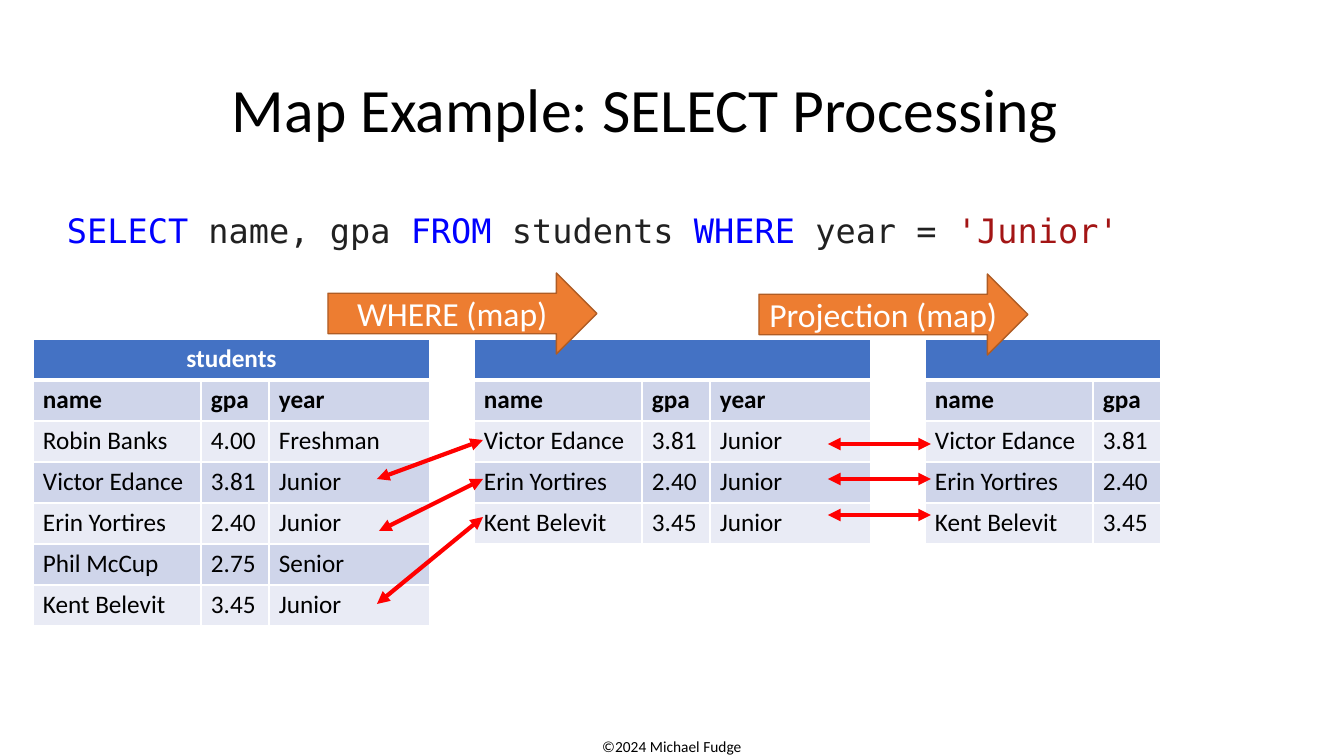
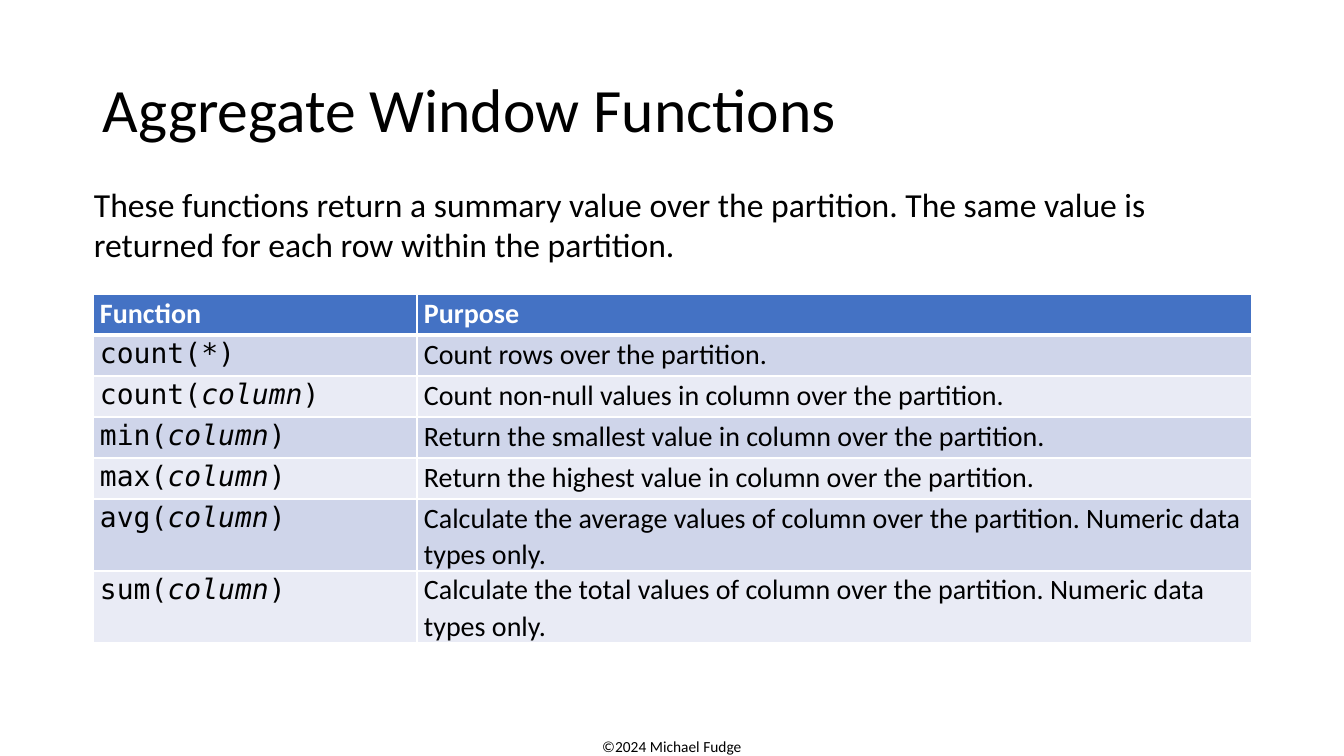
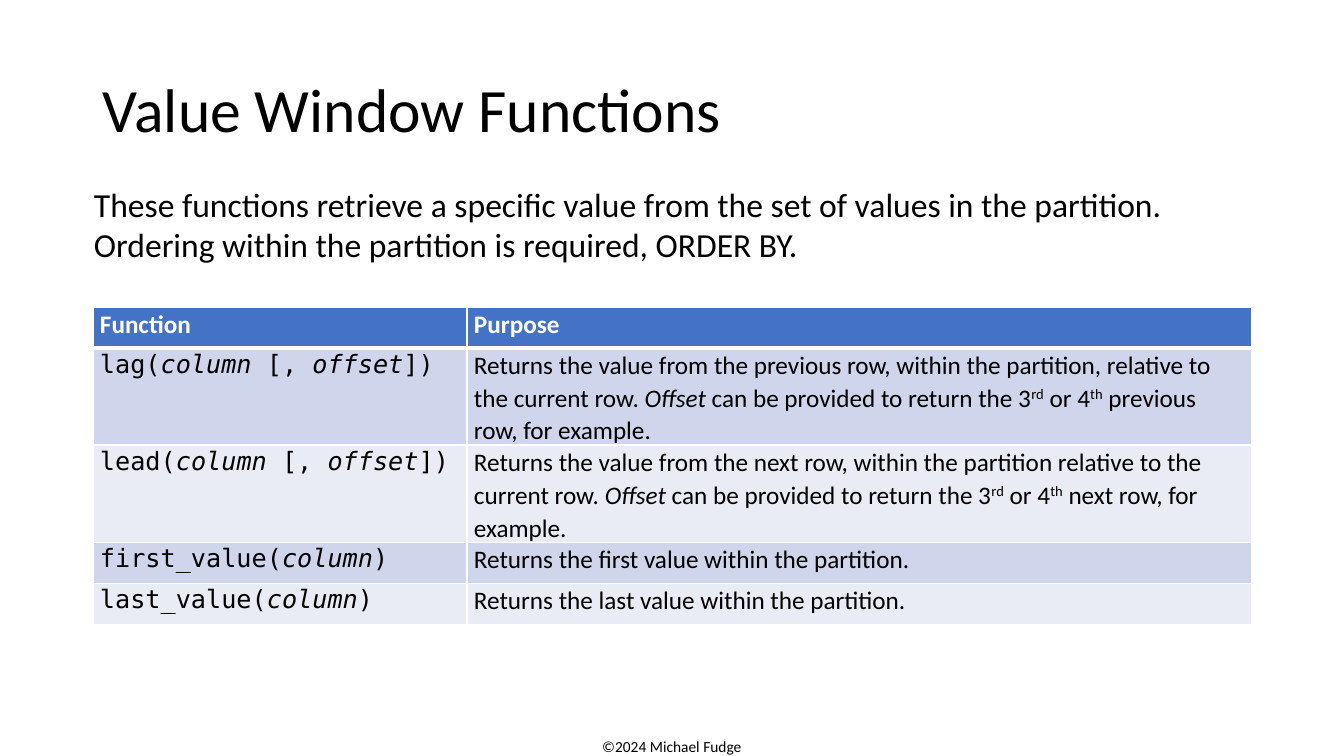
from dataclasses import dataclass
from typing import Optional, Sequence

from lxml import etree
from pptx import Presentation
from pptx.dml.color import RGBColor
from pptx.enum.shapes import MSO_CONNECTOR, MSO_SHAPE
from pptx.enum.text import MSO_ANCHOR, PP_ALIGN
from pptx.oxml.ns import qn
from pptx.util import Pt

RIGHT_ARROW = MSO_SHAPE.RIGHT_ARROW
STRAIGHT = MSO_CONNECTOR.STRAIGHT
TOP, MIDDLE = MSO_ANCHOR.TOP, MSO_ANCHOR.MIDDLE
LEFT, CENTER = PP_ALIGN.LEFT, PP_ALIGN.CENTER

PAGE_WIDTH, PAGE_HEIGHT = 1344, 756
EMU_PER_PX = 12192000 / PAGE_WIDTH
ROW_HEIGHT = 41


@dataclass(frozen=True)
class Theme:
    sans: str = "Calibri"
    mono: str = "DejaVu Sans Mono"
    black: str = "000000"
    white: str = "FFFFFF"
    header: str = "4472C4"
    band_dark: str = "CFD5EA"
    band_light: str = "E9EBF5"
    step: str = "ED7D31"
    step_line: str = "AF5C24"
    link: str = "FF0000"
    keyword: str = "0000FF"
    code: str = "212121"
    literal: str = "A31515"
    title_size: int = 44
    body_size: int = 24
    large_cell_size: int = 20
    cell_size: int = 18
    footer_size: int = 11


THEME = Theme()


@dataclass(frozen=True)
class Span:
    text: str
    color: str = THEME.black
    font: str = THEME.sans
    bold: bool = False
    italic: bool = False
    raised: bool = False


@dataclass(frozen=True)
class Box:
    left: int
    top: int
    width: int
    height: int


@dataclass(frozen=True)
class TableStyle:
    size: int = THEME.cell_size
    bold_rows: int = 1
    banner: bool = False
    margin_x: int = 7
    margin_y: int = 0
    line_spacing: Optional[float] = 1.07


@dataclass(frozen=True)
class Link:
    start_x: int
    start_y: int
    end_x: int
    end_y: int


Cell = Sequence[Span]


def px(length: int) -> int:
    return round(length * EMU_PER_PX)


def rgb(color: str) -> RGBColor:
    return RGBColor.from_string(color)


def place(box: Box) -> tuple[int, int, int, int]:
    return px(box.left), px(box.top), px(box.width), px(box.height)


# Text

def write(frame, spans: Cell, size: int, align=LEFT, spacing: Optional[float] = None) -> None:
    para = frame.paragraphs[0]
    para.alignment = align
    if spacing:
        para.line_spacing = spacing
    for span in spans:
        run = para.add_run()
        run.text = span.text
        font = run.font
        font.name, font.size = span.font, Pt(size)
        font.bold, font.italic = span.bold, span.italic
        font.color.rgb = rgb(span.color)
        if span.raised:
            run._r.get_or_add_rPr().set("baseline", "30000")


def add_text(page, box: Box, spans: Cell, size: int, align=LEFT, anchor=TOP,
             spacing: Optional[float] = None) -> None:
    frame = page.shapes.add_textbox(*place(box)).text_frame
    frame.word_wrap = True
    frame.vertical_anchor = anchor
    write(frame, spans, size, align, spacing)


def mono(*texts: str) -> Cell:
    """Code text in which every second piece is an italic argument."""
    return [Span(text, font=THEME.mono, italic=index % 2 == 1)
            for index, text in enumerate(texts)]


def plain(text: str) -> Cell:
    return [Span(text)]


def offset_note(before: str, after: str) -> Cell:
    return [Span(before), Span("Offset", italic=True),
            Span(" can be provided to return the 3"), Span("rd", raised=True),
            Span(" or 4"), Span("th", raised=True), Span(after)]


# Tables

def add_borders(cell, top: int, bottom: int) -> None:
    properties = cell._tc.get_or_add_tcPr()
    widths = {"a:lnL": 1, "a:lnR": 1, "a:lnT": top, "a:lnB": bottom}
    for index, (tag, width) in enumerate(widths.items()):
        line = etree.Element(qn(tag), w=str(Pt(width)))
        fill = etree.SubElement(line, qn("a:solidFill"))
        etree.SubElement(fill, qn("a:srgbClr"), val=THEME.white)
        properties.insert(index, line)


def add_grid(page, left: int, top: int, columns: Sequence[int],
             rows: Sequence[Sequence[Cell]], style: TableStyle) -> None:
    box = Box(left, top, sum(columns), ROW_HEIGHT * len(rows))
    table = page.shapes.add_table(len(rows), len(columns), *place(box)).table
    for column, width in zip(table.columns, columns):
        column.width = px(width)
    for row in table.rows:
        row.height = px(ROW_HEIGHT)
    if style.banner:
        table.cell(0, 0).merge(table.cell(0, len(columns) - 1))

    for row_index, row in enumerate(rows):
        is_header = row_index == 0
        band = THEME.band_dark if row_index % 2 else THEME.band_light
        for column_index in range(len(columns)):
            cell = table.cell(row_index, column_index)
            cell.fill.solid()
            cell.fill.fore_color.rgb = rgb(THEME.header if is_header else band)
            cell.margin_left = cell.margin_right = px(style.margin_x)
            cell.margin_top = cell.margin_bottom = px(style.margin_y)
            add_borders(cell, top=3 if row_index == 1 else 1, bottom=3 if is_header else 1)
            if column_index < len(row):
                spans = row[column_index]
                if row_index < style.bold_rows:
                    color = THEME.white if is_header else THEME.black
                    spans = [Span(span.text, color, bold=True) for span in spans]
                align = CENTER if is_header and style.banner else LEFT
                write(cell.text_frame, spans, style.size, align, style.line_spacing)


def add_records(page, left: int, columns: Sequence[int], caption: str,
                records: Sequence[Sequence[str]]) -> None:
    style = TableStyle(bold_rows=2, banner=True, margin_x=10, margin_y=5, line_spacing=None)
    rows = [[plain(caption) if caption else []]]
    rows += [[plain(value) for value in record] for record in records]
    add_grid(page, left, 339, columns, rows, style)


# Arrows

def add_step(page, left: int, top: int, label: str) -> None:
    arrow = page.shapes.add_shape(RIGHT_ARROW, *place(Box(left, top, 269, 81)))
    arrow.shadow.inherit = False
    arrow.fill.solid()
    arrow.fill.fore_color.rgb = rgb(THEME.step)
    arrow.line.color.rgb = rgb(THEME.step_line)
    arrow.line.width = Pt(1)
    arrow.text_frame.word_wrap = True
    arrow.text_frame.vertical_anchor = MIDDLE
    write(arrow.text_frame, [Span(label, THEME.white)], THEME.body_size, CENTER)


def add_link(page, link: Link) -> None:
    connector = page.shapes.add_connector(
        STRAIGHT, px(link.start_x), px(link.start_y), px(link.end_x), px(link.end_y))
    connector.line.color.rgb = rgb(THEME.link)
    connector.line.width = Pt(3)
    line = connector.line._get_or_add_ln()
    for tag in ("a:headEnd", "a:tailEnd"):
        etree.SubElement(line, qn(tag), type="triangle")
    etree.SubElement(connector._element.spPr, qn("a:effectLst"))


# Pages

def add_page(deck, title: str, title_left: int = 93):
    page = deck.slides.add_slide(deck.slide_layouts[6])
    add_text(page, Box(572, 732, 200, 29), plain("©2024 Michael Fudge"),
             THEME.footer_size, CENTER)
    add_text(page, Box(title_left, 40, 1252 - title_left, 146), plain(title),
             THEME.title_size, anchor=MIDDLE, spacing=0.9)
    return page


def add_select_page(deck) -> None:
    page = add_page(deck, "Map Example: SELECT Processing", 222)
    query = [("SELECT", THEME.keyword), (" name, gpa ", THEME.code),
             ("FROM", THEME.keyword), (" students ", THEME.code),
             ("WHERE ", THEME.keyword), ("year = ", THEME.code),
             ("'Junior'", THEME.literal)]
    add_text(page, Box(57, 210, 1244, 50),
             [Span(text, color, THEME.mono) for text, color in query],
             THEME.body_size, spacing=0.9)

    fields = ("name", "gpa", "year")
    students = [("Robin Banks", "4.00", "Freshman"), ("Victor Edance", "3.81", "Junior"),
                ("Erin Yortires", "2.40", "Junior"), ("Phil McCup", "2.75", "Senior"),
                ("Kent Belevit", "3.45", "Junior")]
    selected = [fields] + [student for student in students if student[2] == "Junior"]
    projected = [record[:2] for record in selected]
    columns = (168, 68, 161)
    add_records(page, 33, columns, "students", [fields] + students)
    add_records(page, 474, columns, "", selected)
    add_records(page, 925, columns[:2], "", projected)

    add_step(page, 328, 273, "WHERE (map)")
    add_step(page, 759, 274, "Projection (map)")
    filter_links = [Link(377, 479, 483, 440), Link(379, 531, 483, 479),
                    Link(377, 604, 483, 517)]
    projection_links = [Link(828, y, 931, y) for y in (444, 479, 515)]
    for link in filter_links + projection_links:
        add_link(page, link)


def add_function_page(deck, title: str, summary: str, top: int, first_column: int,
                      size: int, functions: Sequence[Sequence[Cell]]) -> None:
    page = add_page(deck, title)
    rows = [[plain("Function"), plain("Purpose")], *functions]
    add_grid(page, 93, top, (first_column, 1159 - first_column), rows, TableStyle(size))
    add_text(page, Box(84, 179, 1159, 92), plain(summary), THEME.body_size)


def main() -> None:
    deck = Presentation()
    deck.slide_width, deck.slide_height = px(PAGE_WIDTH), px(PAGE_HEIGHT)

    add_select_page(deck)

    aggregates = [
        ("count", "Count non-null values in column over the partition."),
        ("min", "Return the smallest value in column over the partition."),
        ("max", "Return the highest value in column over the partition."),
        ("avg", "Calculate the average values of column over the partition. "
                "Numeric data types only."),
        ("sum", "Calculate the total values of column over the partition. "
                "Numeric data types only."),
    ]
    add_function_page(
        deck, "Aggregate Window Functions",
        "These functions return a summary value over the partition. "
        "The same value is returned for each row within the partition.",
        294, 324, THEME.large_cell_size,
        [(mono("count(*)"), plain("Count rows over the partition."))]
        + [(mono(f"{name}(", "column", ")"), plain(purpose)) for name, purpose in aggregates])

    add_function_page(
        deck, "Value Window Functions",
        "These functions retrieve a specific value from the set of values in the partition. "
        "Ordering within the partition is required, ORDER BY.",
        307, 374, THEME.cell_size,
        [(mono("lag(", "column", " [, ", "offset", "])"),
          offset_note("Returns the value from the previous row, within the partition, "
                      "relative to the current row. ", " previous row, for example.")),
         (mono("lead(", "column", " [, ", "offset", "])"),
          offset_note("Returns the value from the next row, within the partition "
                      "relative to the current row. ", " next row, for example.")),
         (mono("first_value(", "column", ")"),
          plain("Returns the first value within the partition.")),
         (mono("last_value(", "column", ")"),
          plain("Returns the last value within the partition."))])

    deck.save("out.pptx")


if __name__ == "__main__":
    main()
